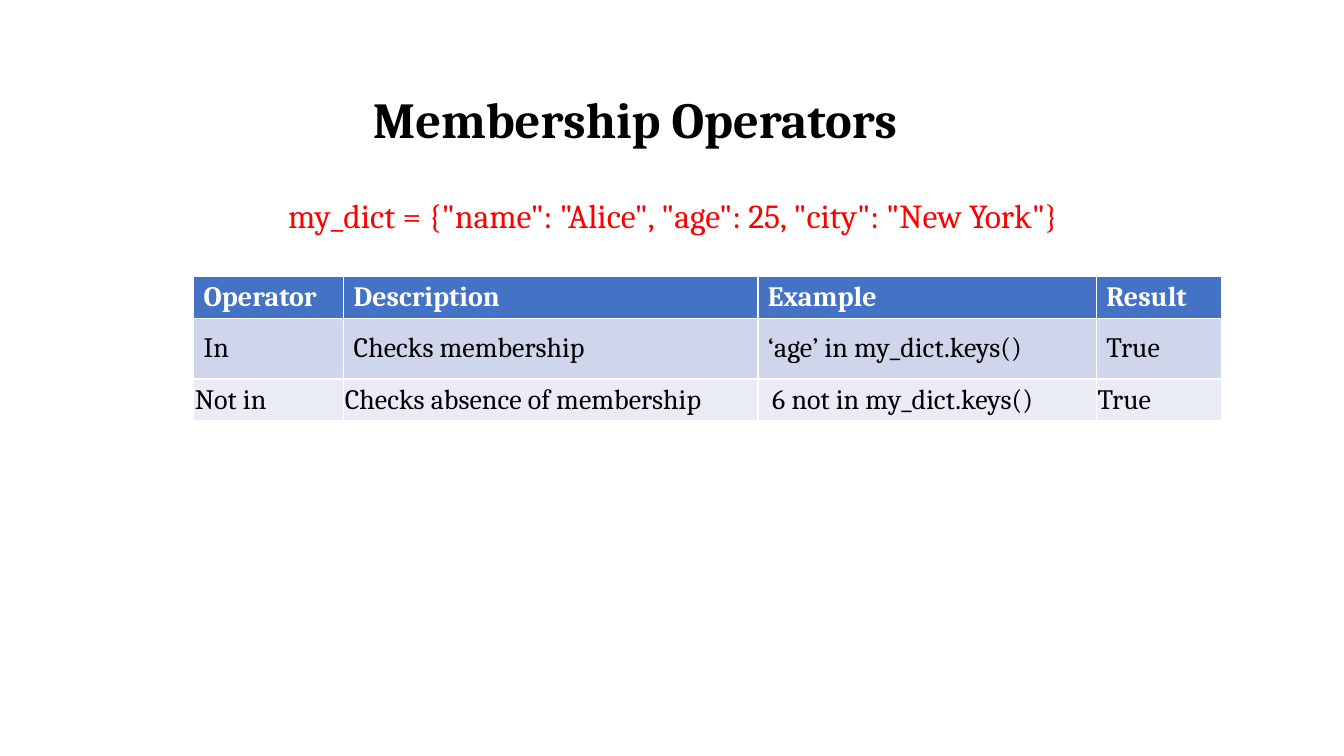
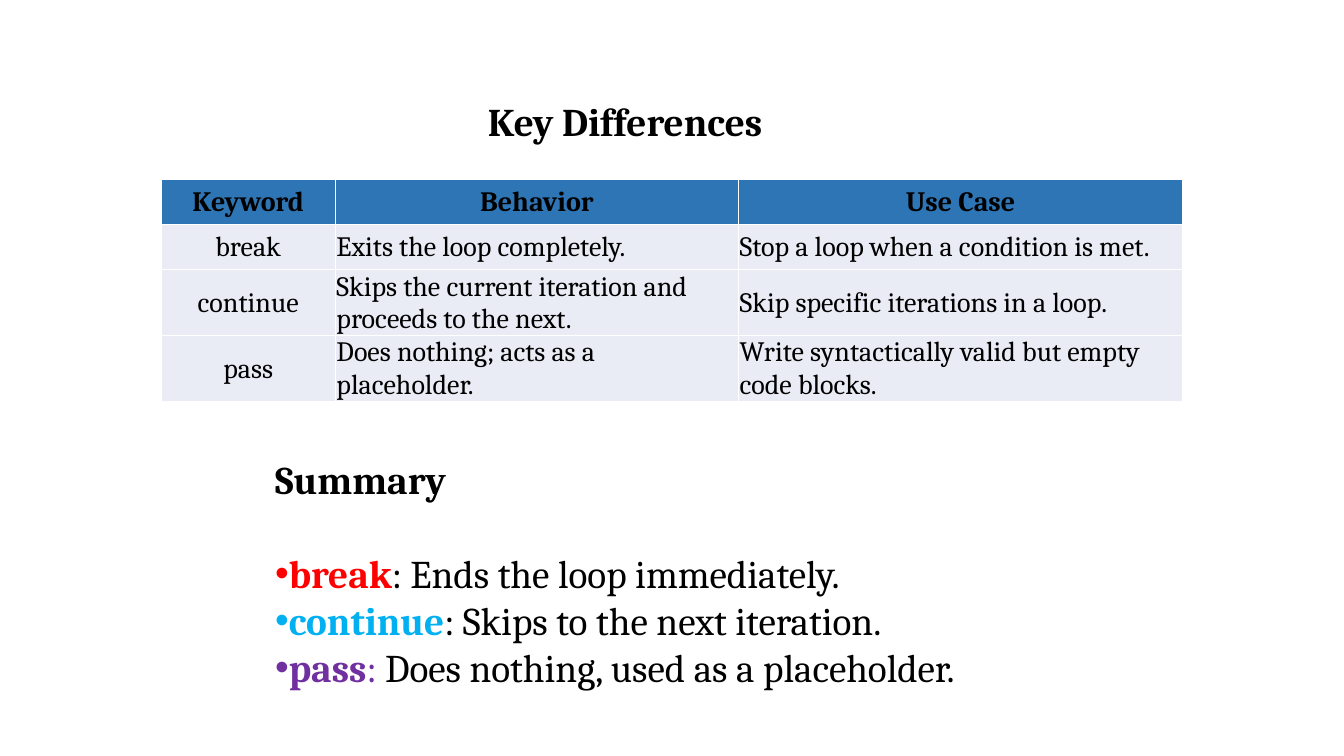
from pptx import Presentation
from pptx.dml.color import RGBColor
from pptx.enum.text import MSO_ANCHOR as Anchor, MSO_AUTO_SIZE as AutoSize, PP_ALIGN as Align
from pptx.oxml.ns import qn
from pptx.util import Cm, Pt
from lxml.etree import SubElement

# Shared colours
BLACK = RGBColor(0x00, 0x00, 0x00)
WHITE = RGBColor(0xFF, 0xFF, 0xFF)
RED = RGBColor(0xFF, 0x00, 0x00)
SKY = RGBColor(0x00, 0xB0, 0xF0)
PURPLE = RGBColor(0x70, 0x30, 0xA0)
HEADER_BLUE = RGBColor(0x44, 0x72, 0xC4)
HEADER_DEEP_BLUE = RGBColor(0x2E, 0x75, 0xB6)
BAND_DARK = RGBColor(0xCF, 0xD5, 0xEA)
BAND_LIGHT = RGBColor(0xE9, 0xEB, 0xF5)

# Shared formats
FONT = "Cambria"
FRAME_FORMAT = {"word_wrap": True, "auto_size": AutoSize.NONE}
TIGHT = {"margin_left": Cm(0.03), "margin_right": Cm(0.03), "margin_top": Cm(0.03)}
TIGHT_ALL = TIGHT | {"margin_bottom": Cm(0.03)}
TIGHT_TOP = TIGHT | {"margin_bottom": Cm(0)}

TITLE_ONLY, TITLE_AND_BODY = 5, 1

OPERATORS = [
    ["Operator", "Description", "Example", "Result"],
    ["In", "Checks membership", "‘age’ in my_dict.keys()", "True"],
    ["Not in", "Checks absence of membership", "6 not in my_dict.keys()", "True"],
]
KEYWORDS = [
    ["Keyword", "Behavior", "Use Case"],
    ["break", "Exits the loop completely.", "Stop a loop when a condition is met."],
    ["continue", "Skips the current iteration and proceeds to the next.",
     "Skip specific iterations in a loop."],
    ["pass", "Does nothing; acts as a placeholder.",
     "Write syntactically valid but empty code blocks."],
]
# Each entry: runs of (text, colour, bold)
SUMMARY = [
    [("break", RED, True), (": Ends the loop immediately.", BLACK, False)],
    [("continue", SKY, True), (": Skips to the next iteration.", BLACK, False)],
    [("pass", PURPLE, True), (": ", PURPLE, False),
     ("Does nothing, used as a placeholder.", BLACK, False)],
]


def apply_format(target, values):
    for name, value in values.items():
        setattr(target, name, value)


def add_run(paragraph, text, size, color=BLACK, bold=False):
    run = paragraph.add_run()
    run.text = text
    apply_format(run.font, {"name": FONT, "size": Pt(size), "bold": bold})
    run.font.color.rgb = color


def place(shape, left, top, width, height):
    apply_format(shape, {"left": Cm(left), "top": Cm(top),
                         "width": Cm(width), "height": Cm(height)})


def set_title(slide, text, size, area):
    title = slide.shapes.title
    place(title, *area)
    apply_format(title.text_frame, FRAME_FORMAT | {"vertical_anchor": Anchor.MIDDLE})
    heading = title.text_frame.paragraphs[0]
    heading.alignment = Align.LEFT
    add_run(heading, text, size, bold=True)


def set_bullet(paragraph, char=None):
    properties = paragraph._p.get_or_add_pPr()
    properties.set("marL", "0")
    properties.set("indent", "0")
    if char:
        SubElement(properties, qn("a:buFont"), typeface="Arial")
        SubElement(properties, qn("a:buChar"), char=char)
    else:
        SubElement(properties, qn("a:buNone"))


def add_code_line(slide, code, area):
    frame = slide.shapes.add_textbox(*map(Cm, area)).text_frame
    apply_format(frame, FRAME_FORMAT)
    add_run(frame.paragraphs[0], code, 24, RED)


def add_grid(slide, rows, origin, widths, heights, fills, header_color):
    """Table whose white rules come from the default table style."""
    table = slide.shapes.add_table(len(rows), len(widths), *map(Cm, origin),
                                   Cm(sum(widths)), Cm(sum(heights))).table
    for column, width in zip(table.columns, widths):
        column.width = Cm(width)
    for r, (row, height, fill) in enumerate(zip(rows, heights, fills)):
        table.rows[r].height = Cm(height)
        for c, text in enumerate(row):
            cell = table.cell(r, c)
            cell.vertical_anchor = Anchor.MIDDLE
            cell.fill.solid()
            cell.fill.fore_color.rgb = fill
            add_run(cell.text_frame.paragraphs[0], text, 20,
                    BLACK if r else header_color, bold=r == 0)
    return table


def fill_summary(slide, area):
    body = slide.placeholders[1]
    place(body, *area)
    frame = body.text_frame
    apply_format(frame, FRAME_FORMAT | {"vertical_anchor": Anchor.TOP})
    heading = frame.paragraphs[0]
    set_bullet(heading)
    heading.space_before = Pt(0)
    add_run(heading, "Summary", 28, bold=True)
    for index, runs in enumerate(SUMMARY):
        item = frame.add_paragraph()
        set_bullet(item, "•")
        item.space_before = Pt(0 if index else 33.5)
        for text, color, bold in runs:
            add_run(item, text, 28, color, bold)


def build_membership(slide):
    set_title(slide, "Membership Operators", 36, (9.14, 2.08, 14.2, 1.8))
    table = add_grid(slide, OPERATORS, (4.88, 6.96), [3.78, 10.44, 8.53, 3.15],
                     [1.04, 1.52, 1.04], [HEADER_BLUE, BAND_DARK, BAND_LIGHT], WHITE)
    # The last row is set tight, with its example slightly indented
    for cell in table.rows[2].cells:
        apply_format(cell, TIGHT_ALL)
        cell.text_frame.paragraphs[0].line_spacing = 1.07
    table.cell(2, 2).margin_left = Cm(0.36)
    add_code_line(slide, 'my_dict = {"name": "Alice", "age": 25, "city": "New York"}',
                  (7.01, 4.78, 21.64, 1.27))


def build_differences(slide):
    set_title(slide, "Key Differences", 28, (12.04, 2.31, 8.61, 1.45))
    table = add_grid(slide, KEYWORDS, (4.06, 4.52), [4.39, 10.16, 11.2],
                     [1.14] * 4, [HEADER_DEEP_BLUE] + [BAND_LIGHT] * 3, BLACK)
    # Header row and keyword column are centred
    for r in range(len(KEYWORDS)):
        for c, cell in enumerate(table.rows[r].cells):
            apply_format(cell, TIGHT_TOP)
            centred = r == 0 or c == 0
            cell.text_frame.paragraphs[0].alignment = Align.CENTER if centred else Align.LEFT
    fill_summary(slide, (6.68, 11.35, 18.75, 7.44))


def main():
    deck = Presentation()
    apply_format(deck, {"slide_width": Cm(33.87), "slide_height": Cm(19.05)})
    for layout, build in [(TITLE_ONLY, build_membership), (TITLE_AND_BODY, build_differences)]:
        build(deck.slides.add_slide(deck.slide_layouts[layout]))
    deck.save("out.pptx")


if __name__ == "__main__":
    main()
